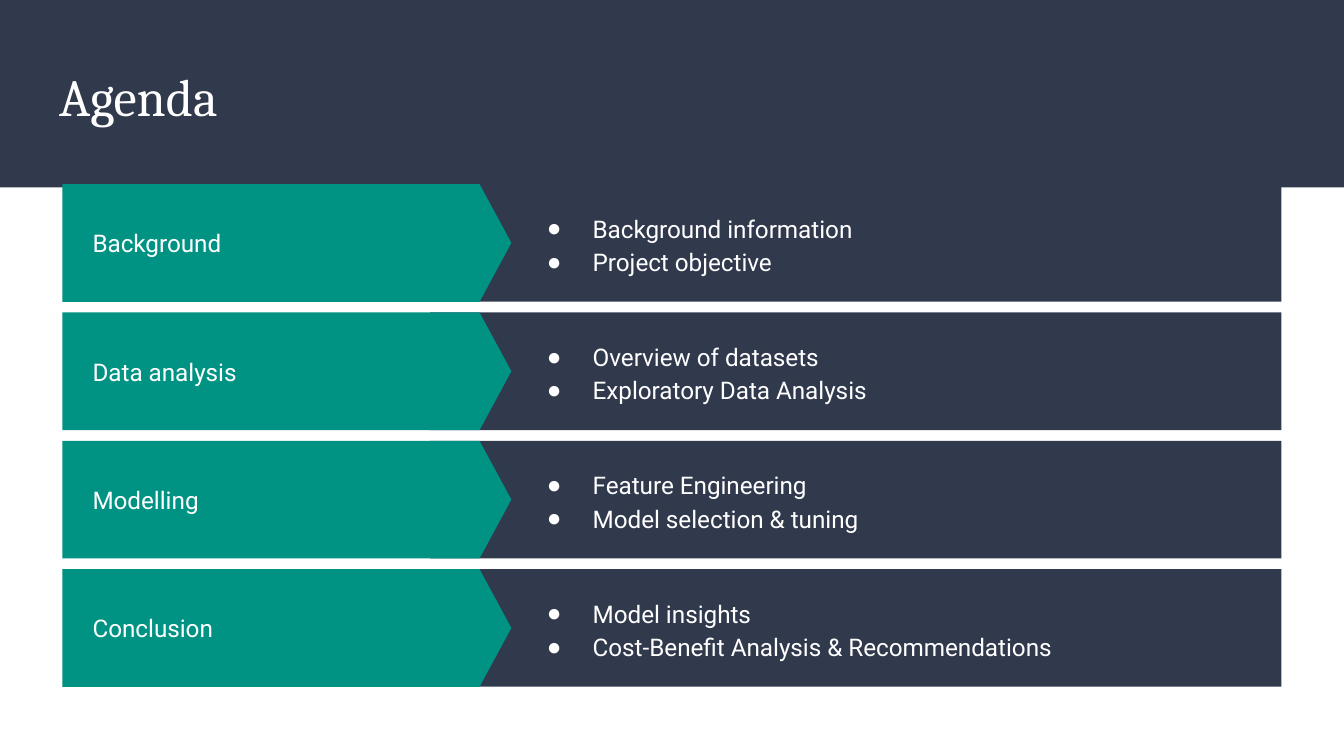
from lxml.etree import SubElement
from pptx import Presentation
from pptx.dml.color import RGBColor
from pptx.enum.shapes import MSO_SHAPE
from pptx.enum.text import MSO_ANCHOR, MSO_AUTO_SIZE, PP_ALIGN
from pptx.oxml.ns import qn
from pptx.util import Pt

NAVY = RGBColor(0x31, 0x39, 0x4D)
TEAL = RGBColor(0x00, 0x93, 0x84)
WHITE = RGBColor(0xFF, 0xFF, 0xFF)
PX = 4572
ROWS = [
    ("Background", ["Background information", "Project objective"]),
    ("Data analysis", ["Overview of datasets", "Exploratory Data Analysis"]),
    ("Modelling", ["Feature Engineering", "Model selection & tuning"]),
    ("Conclusion", ["Model insights", "Cost-Benefit Analysis & Recommendations"]),
]


def place(shape, left, top, width, height):
    """Move a shape to a box given in px."""
    shape.left, shape.top = left * PX, top * PX
    shape.width, shape.height = width * PX, height * PX


def block(shapes, kind, box, color):
    """Add a plain filled shape."""
    shape = shapes.add_shape(kind, *(n * PX for n in box))
    shape.shadow.inherit = False
    shape.fill.solid()
    shape.fill.fore_color.rgb = color
    shape.line.fill.background()
    return shape


def bullet(para):
    """Give a paragraph a white round bullet."""
    props = para._p.get_or_add_pPr()
    props.set("marL", str(100 * PX))
    props.set("indent", str(-68 * PX))
    color = SubElement(props, qn("a:buClr"))
    SubElement(color, qn("a:srgbClr"), val=str(WHITE))
    SubElement(props, qn("a:buFont"), typeface="Arial")
    SubElement(props, qn("a:buChar"), char="●")


def write(shape, lines, font, size, anchor, marks=False):
    """Fill a shape with white text lines, with bullets if asked."""
    frame = shape.text_frame
    frame.text = "\n".join(lines)
    frame.word_wrap = True
    frame.auto_size = MSO_AUTO_SIZE.NONE
    frame.vertical_anchor = anchor
    frame.margin_left = frame.margin_right = 20 * PX
    frame.margin_top = frame.margin_bottom = 20 * PX
    for para in frame.paragraphs:
        if marks:
            bullet(para)
        para.alignment = PP_ALIGN.LEFT
        para.line_spacing = 1.15 if marks else 1.0
        para.space_before = Pt(0)
        for run in para.runs:
            run.font.name = font
            run.font.size = Pt(size)
            run.font.bold = False
            run.font.color.rgb = WHITE


def raise_up(shape):
    """Bring a shape to the front."""
    shape.element.getparent().append(shape.element)


def header(slide, left, top, width, height):
    """Draw the top band with the slide title."""
    block(slide.shapes, MSO_SHAPE.RECTANGLE, (left, top, width, height), NAVY)
    title = slide.shapes.title
    place(title, left + 68, top + 76, width - 136, 136)
    write(title, ["Agenda"], "Cambria", 28, MSO_ANCHOR.TOP)
    raise_up(title)


def row(slide, body, label, items, left, top, width, height):
    """Draw one agenda row: bar, arrow, label and list."""
    group = slide.shapes.add_group_shape().shapes
    bar = (left + 547, top, width - 547, height)
    block(group, MSO_SHAPE.RECTANGLE, bar, NAVY)
    arrow = block(group, MSO_SHAPE.PENTAGON, (left, top, 668, height), TEAL)
    arrow.adjustments[0] = 0.27
    name = slide.shapes.add_textbox(0, 0, 0, 0)
    place(name, left + 25, top, 530, height)
    write(name, [label], "Roboto", 13, MSO_ANCHOR.MIDDLE)
    place(body, left + 669, top, width - 696, height)
    write(body, items, "Roboto", 13, MSO_ANCHOR.MIDDLE, True)
    raise_up(body)


def main():
    """Build the agenda slide and save it."""
    deck = Presentation()
    deck.slide_width, deck.slide_height = 2000 * PX, 1125 * PX
    slide = deck.slides.add_slide(deck.slide_layouts.get_by_name("Comparison"))
    title, *bodies = list(slide.placeholders)
    header(slide, 0, 0, 2000, 279)
    for i, (body, (label, items)) in enumerate(zip(bodies, ROWS)):
        row(slide, body, label, items, 93, 274 + i * 191, 1814, 175)
    deck.save("out.pptx")


if __name__ == "__main__":
    main()
